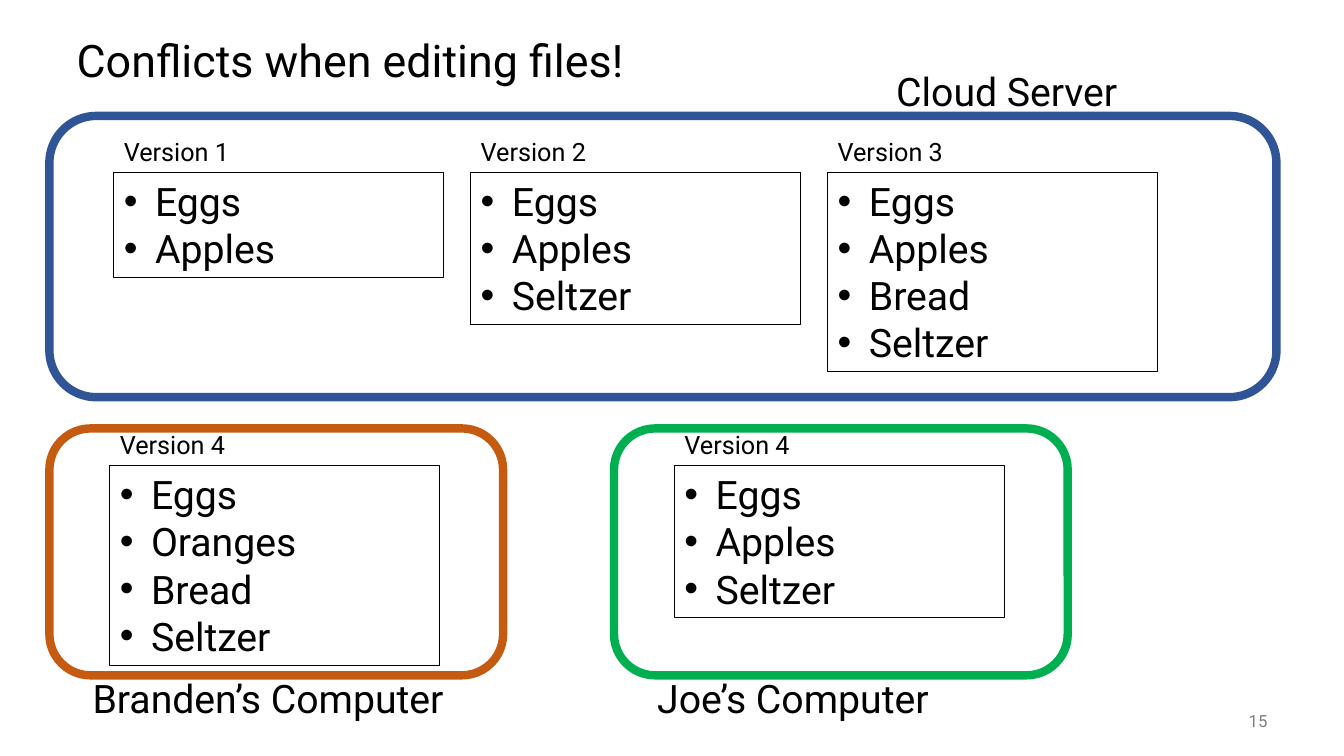
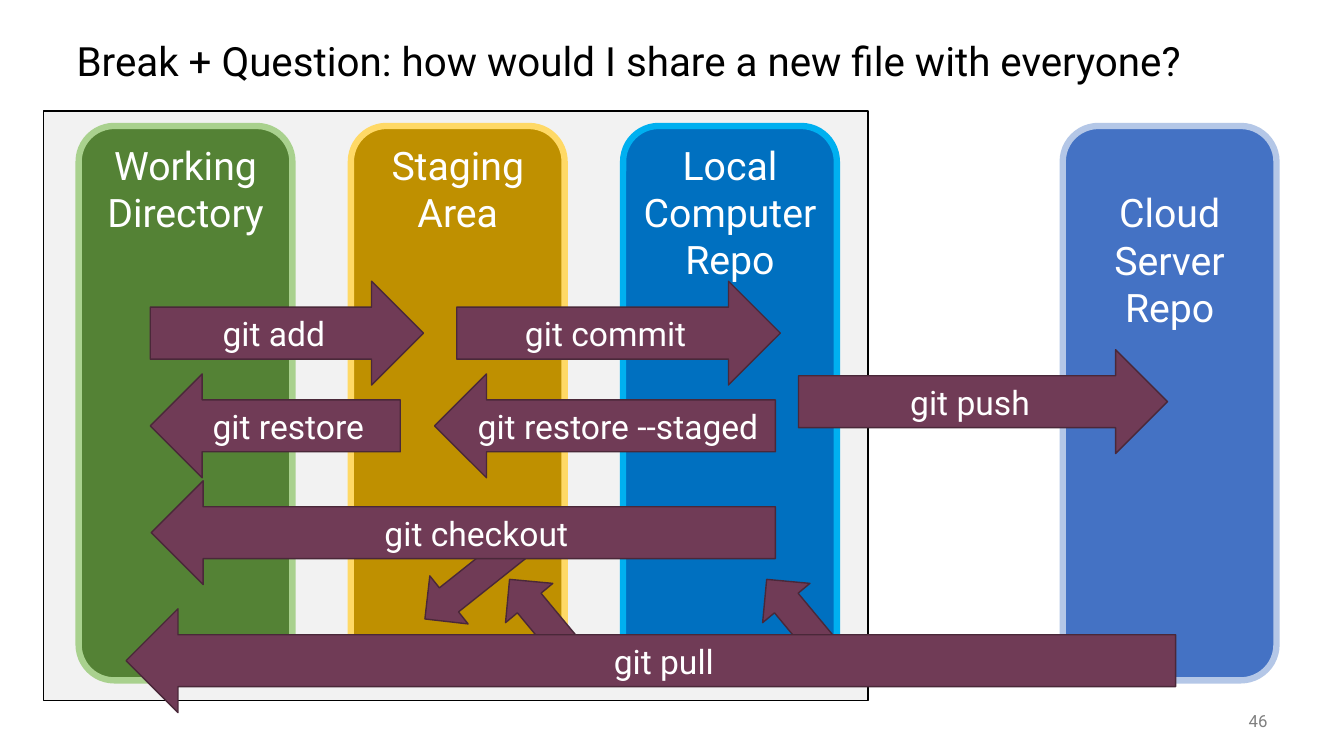
from lxml.etree import SubElement as Sub
from pptx import Presentation
from pptx.dml.color import RGBColor
from pptx.enum.shapes import MSO_SHAPE as Geo
from pptx.enum.text import MSO_ANCHOR as Anchor, MSO_AUTO_SIZE as Fit, PP_ALIGN as Align
from pptx.oxml.ns import qn
from pptx.util import Emu, Pt

SCALE = 9144  # EMU in one px: 100 px to the inch
FONT = "Roboto"
HEX = {
    "black": "000000", "white": "FFFFFF", "gray": "808080", "pale": "F2F2F2",
    "navy": "2F5597", "rust": "C55A11", "lime": "00B050",
    "plum": "703B56", "wine": "4A2839",
    "green": "548235", "mint": "A9D18E", "gold": "BF9000", "sand": "FFD966",
    "blue": "0070C0", "cyan": "00B0F0", "royal": "4472C4", "ice": "B4C7E7",
}


def px(*nums):
    return [Emu(n * SCALE) for n in nums]


def rgb(name):
    return RGBColor.from_string(HEX[name])


class Deck:
    """Holds the shared style and the slide being built."""

    def __init__(self):
        self.prs = Presentation()
        self.prs.slide_width, self.prs.slide_height = px(1333, 750)
        self.slide = None

    def page(self, title, num, size=32):
        self.slide = self.prs.slides.add_slide(self.prs.slide_layouts[5])
        head = self.slide.shapes.title
        head.left, head.top, head.width, head.height = px(66, 25, 1200, 75)
        self.label(head, [title], size, anchor=Anchor.MIDDLE)
        head.text_frame.paragraphs[0].line_spacing = 0.9
        self.text(1167, 695, 100, 40, str(num), 12, "gray", Align.RIGHT, Anchor.MIDDLE)

    def label(self, shape, lines, size, color="black", align=Align.LEFT,
              anchor=Anchor.TOP, bullet=False):
        frame = shape.text_frame
        frame.word_wrap, frame.auto_size = True, Fit.NONE
        frame.vertical_anchor = anchor
        for i, line in enumerate(lines):
            par = frame.add_paragraph() if i else frame.paragraphs[0]
            par.text, par.alignment = line, align
            if bullet:
                props = par._p.get_or_add_pPr()
                props.set("marL", str(31 * SCALE))
                props.set("indent", str(-31 * SCALE))
                Sub(props, qn("a:buFont"), typeface="Arial")
                Sub(props, qn("a:buChar"), char="•")
            font = par.font
            font.name, font.size = FONT, Pt(size)
            font.color.rgb = rgb(color)

    def text(self, x, y, w, h, line, size, color="black", align=Align.LEFT,
             anchor=Anchor.TOP):
        box = self.slide.shapes.add_textbox(*px(x, y, w, h))
        self.label(box, [line], size, color, align, anchor)

    def shape(self, geo, x, y, w, h, edge, width, fill=None):
        item = self.slide.shapes.add_shape(geo, *px(x, y, w, h))
        item.shadow.inherit = False
        if fill:
            item.fill.solid()
            item.fill.fore_color.rgb = rgb(fill)
        else:
            item.fill.background()
        item.line.color.rgb = rgb(edge)
        item.line.width = Pt(width)
        return item

    def frame(self, x, y, w, h, edge):
        self.shape(Geo.ROUNDED_RECTANGLE, x, y, w, h, edge, 6)

    def card(self, x, y, ver, foods):
        """A labelled list whose box grows with its lines."""
        self.text(x, y, 327, 40, f"Version {ver}", 18)
        box = self.shape(Geo.RECTANGLE, x, y + 41, 327, 10 + 47 * len(foods), "black", 0.75)
        self.label(box, foods, 28, bullet=True)

    def pillar(self, x, name, fill, edge, drop=5):
        item = self.shape(Geo.ROUNDED_RECTANGLE, x, 125, 212, 550, edge, 4.5, fill)
        self.label(item, [name], 28, "white", Align.CENTER)
        text = item.text_frame
        text.margin_left, text.margin_right, text.margin_top = px(5, 5, drop)

    def arrow(self, x, y, w, label=None, left=True, h=103, turn=0):
        geo = Geo.LEFT_ARROW if left else Geo.RIGHT_ARROW
        item = self.shape(geo, x, y, w, h, "wine", 1, "plum")
        item.rotation = turn
        if label:
            self.label(item, [label], 24, "white", Align.CENTER, Anchor.MIDDLE)


def clash(deck):
    deck.page("Conflicts when editing files!", 15)

    # Server with its versions
    deck.frame(49, 115, 1217, 279, "navy")
    deck.text(879, 62, 269, 57, "Cloud Server", 28)
    lists = [["Eggs", "Apples"], ["Eggs", "Apples", "Seltzer"],
             ["Eggs", "Apples", "Bread", "Seltzer"]]
    for i, foods in enumerate(lists):
        deck.card(113 + 354 * i, 130, i + 1, foods)

    # The two computers
    for x, name, edge, foods in [
        (49, "Branden’s Computer", "rust", ["Eggs", "Oranges", "Bread", "Seltzer"]),
        (609, "Joe’s Computer", "lime", ["Eggs", "Apples", "Seltzer"]),
    ]:
        deck.frame(x, 425, 450, 245, edge)
        deck.text(x + 33, 664, 400, 57, name, 28)
        deck.card(x + 60, 421, 4, foods)


def share(deck):
    deck.page("Break + Question: how would I share a new file with everyone?", 46, 28.8)

    # Local panel and the four places
    deck.shape(Geo.RECTANGLE, 43, 110, 818, 585, "black", 1, "pale")
    local = [("Working Directory", "green", "mint"), ("Staging Area", "gold", "sand"),
             ("Local Computer Repo", "blue", "cyan")]
    for i, (name, fill, edge) in enumerate(local):
        deck.pillar(78 + 270 * i, name, fill, edge)
    deck.pillar(1054, "Cloud Server Repo", "royal", "ice", drop=52)

    # Commands, with the short side arrows tucked behind the long ones
    deck.arrow(149, 279, 271, "git add", left=False)
    deck.arrow(453, 279, 321, "git commit", left=False)
    deck.arrow(149, 371, 248, "git restore")
    deck.arrow(431, 371, 338, "git restore --staged")
    deck.arrow(408, 545, 124, h=61, turn=321.5)
    deck.arrow(150, 477, 619, "git checkout")
    deck.arrow(792, 347, 366, "git push", left=False)
    for x in (483, 738):
        deck.arrow(x, 592, 124, h=61, turn=50.3)
    deck.arrow(125, 604, 1041, "git pull")


def main():
    deck = Deck()
    clash(deck)
    share(deck)
    deck.prs.save("out.pptx")


if __name__ == "__main__":
    main()
